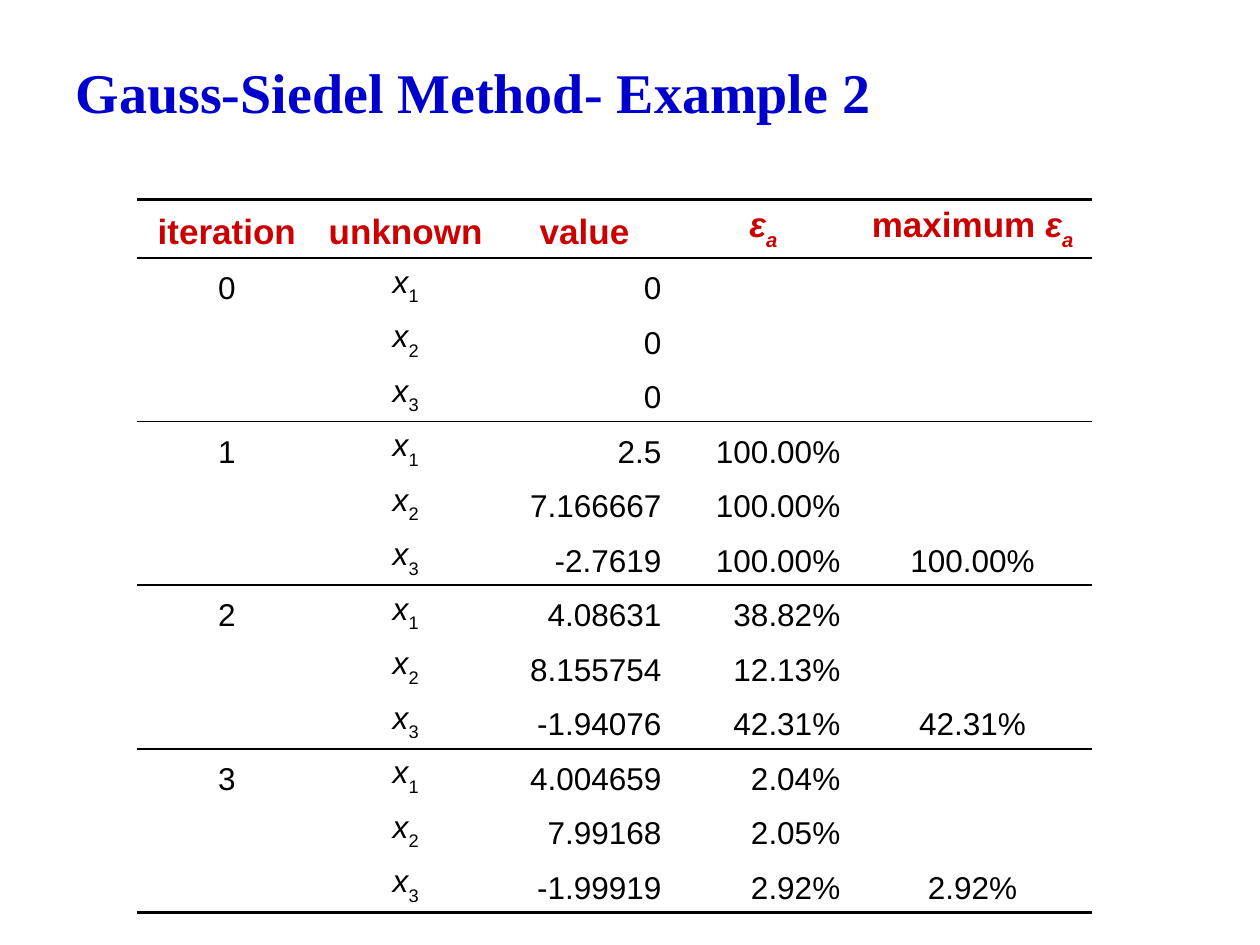
import dataclasses

import lxml.etree
import pptx
import pptx.dml.color
import pptx.enum.text
import pptx.oxml.ns
import pptx.util

Inches = pptx.util.Inches
Pt = pptx.util.Pt
Align = pptx.enum.text.PP_ALIGN
qn = pptx.oxml.ns.qn

BLACK, RED, BLUE = "000000", "CC0000", "0000CC"
COLUMN_WIDTHS = [1.42, 1.42, 1.42, 1.42, 1.9]
HEADER_HEIGHT, ROW_HEIGHT = 0.43, 0.4
HEADER_FORMAT = {"size": Pt(20), "bold": True, "name": "Arial"}
BODY_FORMAT = {"size": Pt(18), "bold": False, "name": "Arial"}


@dataclasses.dataclass(frozen=True)
class Piece:
    text: str
    italic: bool = False
    subscript: bool = False


@dataclasses.dataclass(frozen=True)
class Iteration:
    values: tuple[str, str, str]
    errors: tuple[str, str, str] = ("", "", "")
    maximum: str = ""


EPSILON = [Piece("ε", italic=True), Piece("a", italic=True, subscript=True)]
HEADERS = [
    [Piece("iteration")],
    [Piece("unknown")],
    [Piece("value")],
    EPSILON,
    [Piece("maximum "), *EPSILON],
]
ITERATIONS = [
    Iteration(("0", "0", "0")),
    Iteration(("2.5", "7.166667", "-2.7619"), ("100.00%", "100.00%", "100.00%"), "100.00%"),
    Iteration(("4.08631", "8.155754", "-1.94076"), ("38.82%", "12.13%", "42.31%"), "42.31%"),
    Iteration(("4.004659", "7.99168", "-1.99919"), ("2.04%", "2.05%", "2.92%"), "2.92%"),
]


def apply_format(font, values: dict, color: str) -> None:
    for name, value in values.items():
        setattr(font, name, value)
    font.color.rgb = pptx.dml.color.RGBColor.from_string(color)


def set_border(cell, side: str, width: float) -> None:
    """Draw one side of a cell; a width of zero leaves it without a line."""
    properties = cell._tc.get_or_add_tcPr()
    line = lxml.etree.SubElement(properties, qn(f"a:ln{side}"), w=str(int(Pt(width))))
    if width:
        fill = lxml.etree.SubElement(line, qn("a:solidFill"))
        lxml.etree.SubElement(fill, qn("a:srgbClr"), val=BLACK)
    else:
        lxml.etree.SubElement(line, qn("a:noFill"))


def write_cell(cell, pieces: list[Piece], alignment, values: dict, color: str) -> None:
    cell.vertical_anchor = pptx.enum.text.MSO_ANCHOR.BOTTOM
    paragraph = cell.text_frame.paragraphs[0]
    paragraph.alignment = alignment
    properties = paragraph._p.get_or_add_pPr()
    properties.set("marL", str(int(Inches(0.38))))
    properties.set("indent", str(int(Inches(-0.38))))
    for piece in pieces:
        run = paragraph.add_run()
        run.text = piece.text
        apply_format(run.font, values | {"italic": piece.italic}, color)
        if piece.subscript:
            run._r.get_or_add_rPr().set("baseline", "-30000")


def body_rows() -> list[list[list[Piece]]]:
    """List the three unknowns of each iteration, one row each."""
    rows = []
    for number, iteration in enumerate(ITERATIONS):
        for index, (value, error) in enumerate(zip(iteration.values, iteration.errors)):
            unknown = [Piece("x", italic=True), Piece(str(index + 1), subscript=True)]
            first = str(number) if index == 0 else ""
            maximum = iteration.maximum if index == 2 else ""
            texts = [[Piece(text)] if text else [] for text in (first, value, error, maximum)]
            rows.append([texts[0], unknown, *texts[1:]])
    return rows


def rule_width(boundary: int, last: int) -> float:
    """Width of the rule above row number `boundary`."""
    if boundary in (0, last):
        return 2
    return 1 if boundary % 3 == 1 else 0


def add_title(slide) -> None:
    title = slide.shapes.title
    title.left, title.top = Inches(0.5), Inches(0.41)
    title.width, title.height = Inches(8.25), Inches(0.64)
    frame = title.text_frame
    frame.word_wrap = True
    frame.vertical_anchor = pptx.enum.text.MSO_ANCHOR.BOTTOM
    paragraph = frame.paragraphs[0]
    paragraph.alignment = Align.LEFT
    paragraph.line_spacing = 0.9
    run = paragraph.add_run()
    run.text = "Gauss-Siedel Method- Example 2"
    apply_format(run.font, {"size": Pt(32), "bold": True, "name": "Times New Roman"}, BLUE)


def add_results_table(slide) -> None:
    rows = [HEADERS, *body_rows()]
    height = HEADER_HEIGHT + ROW_HEIGHT * (len(rows) - 1)
    table = slide.shapes.add_table(
        len(rows), len(COLUMN_WIDTHS), Inches(1.09), Inches(1.58),
        Inches(sum(COLUMN_WIDTHS)), Inches(height),
    ).table
    table.first_row = table.horz_banding = False
    for column, width in zip(table.columns, COLUMN_WIDTHS):
        column.width = Inches(width)

    body_alignments = [Align.CENTER, Align.CENTER, Align.RIGHT, Align.RIGHT, Align.CENTER]
    for row_index, row in enumerate(rows):
        is_header = row_index == 0
        table.rows[row_index].height = Inches(HEADER_HEIGHT if is_header else ROW_HEIGHT)
        values, color = (HEADER_FORMAT, RED) if is_header else (BODY_FORMAT, BLACK)
        borders = {
            "L": 0,
            "R": 0,
            "T": rule_width(row_index, len(rows)),
            "B": rule_width(row_index + 1, len(rows)),
        }
        for column_index, pieces in enumerate(row):
            cell = table.cell(row_index, column_index)
            # Slightly narrower header margins keep each heading on one line
            cell.margin_left = cell.margin_right = Inches(0.09 if is_header else 0.1)
            alignment = Align.CENTER if is_header else body_alignments[column_index]
            if pieces:
                write_cell(cell, pieces, alignment, values, color)
            for side, width in borders.items():
                set_border(cell, side, width)
            cell.fill.background()


def main() -> None:
    presentation = pptx.Presentation()
    presentation.slide_width, presentation.slide_height = Inches(10), Inches(7.5)
    title_only = presentation.slide_layouts[5]
    slide = presentation.slides.add_slide(title_only)
    add_title(slide)
    add_results_table(slide)
    presentation.save("out.pptx")


if __name__ == "__main__":
    main()
